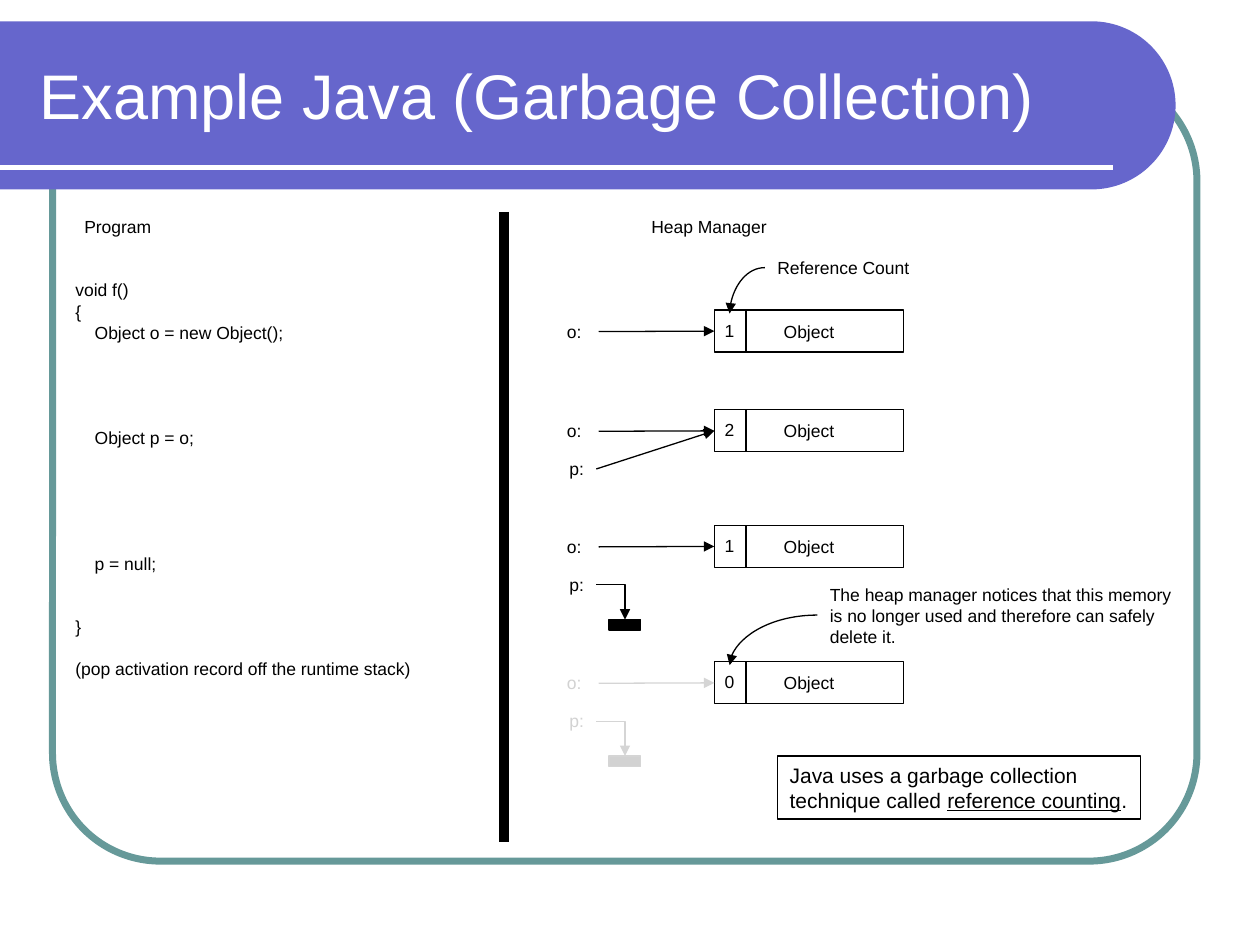
import math

import pptx
import pptx.dml.color
import pptx.enum.shapes
import pptx.enum.text
import pptx.oxml.ns
import pptx.util
from lxml import etree

Cm, Pt = pptx.util.Cm, pptx.util.Pt
RGBColor = pptx.dml.color.RGBColor
SHAPE = pptx.enum.shapes.MSO_SHAPE
CONNECTOR = pptx.enum.shapes.MSO_CONNECTOR
qn = pptx.oxml.ns.qn

BLACK = RGBColor(0x00, 0x00, 0x00)
WHITE = RGBColor(0xFF, 0xFF, 0xFF)
BANNER = RGBColor(0x66, 0x66, 0xCC)
FRAME = RGBColor(0x66, 0x99, 0x99)
FADED_TEXT = RGBColor(0xD2, 0xD2, 0xD2)
FADED_LINE = RGBColor(0xD5, 0xD5, 0xD5)

LINE_PITCH = 12   # points per line of 10 pt code
CODE_INDENT = 0.39
LABEL_HEIGHT = 0.69
LEFT, RIGHT = 1, 3

# text, indented, empty lines above
PROGRAM = [
    ("void f()", False, 0),
    ("{", False, 0),
    ("Object o = new Object();", True, 0),
    ("Object p = o;", True, 4),
    ("p = null;", True, 5),
    ("}", False, 2),
    ("(pop activation record off the runtime stack)", False, 1),
]

# top, reference count, what p refers to, faded references
HEAP_STATES = [
    (6.25, "1", None, False),
    (8.26, "2", "object", False),
    (10.59, "1", "null", False),
    (13.34, "0", "null", True),
]


def write(paragraph, text, size=10, color=BLACK, **extra):
    run = paragraph.add_run()
    run.text = text
    for key, value in {"name": "Arial", "size": Pt(size), **extra}.items():
        setattr(run.font, key, value)
    run.font.color.rgb = color


def add_label(slide, left, top, width, lines, height=LABEL_HEIGHT, color=BLACK):
    label = slide.shapes.add_textbox(Cm(left), Cm(top), Cm(width), Cm(height))
    frame = label.text_frame
    # The boxes fit their text tightly, so the right inset is left as slack.
    for key, value in {"word_wrap": False, "margin_right": 0}.items():
        setattr(frame, key, value)
    for number, line in enumerate(lines):
        paragraph = frame.add_paragraph() if number else frame.paragraphs[0]
        write(paragraph, line, color=color)
    return label


def style_outline(shape, fill, line, width=0.75):
    shape.shadow.inherit = False
    if fill is None:
        shape.fill.background()
    else:
        shape.fill.solid()
        shape.fill.fore_color.rgb = fill
    if line is None:
        shape.line.fill.background()
    else:
        shape.line.color.rgb = line
        shape.line.width = Pt(width)


def add_box(slide, left, top, width, height, fill=None, line=BLACK,
            kind=SHAPE.RECTANGLE, line_width=0.75):
    box = slide.shapes.add_shape(kind, Cm(left), Cm(top), Cm(width), Cm(height))
    style_outline(box, fill, line, line_width)
    return box


def add_line(slide, start, end, color=BLACK, width=0.75, arrow=False,
             preset=None, joins=None):
    """Draw a connector in cm; joins is ((shape, site), (shape, site))."""
    line = slide.shapes.add_connector(
        CONNECTOR.STRAIGHT, *(Cm(value) for value in (*start, *end)))
    line.line.color.rgb = color
    line.line.width = Pt(width)
    properties = line._element.spPr
    if arrow:
        etree.SubElement(properties.get_or_add_ln(), qn("a:tailEnd"), type="triangle")
    if preset:
        properties.find(qn("a:prstGeom")).set("prst", preset)
    etree.SubElement(properties, qn("a:effectLst"))
    if joins:
        line.begin_connect(*joins[0])
        line.end_connect(*joins[1])


def add_banner(slide, top, width, height):
    """Blue band from the slide's left edge with a half-round right end."""
    radius = height / 2
    center = width - radius
    angles = [math.radians(degrees) for degrees in range(-90, 91, 3)]
    arc = [(Cm(center + radius * math.cos(angle)),
            Cm(top + radius + radius * math.sin(angle))) for angle in angles]
    builder = slide.shapes.build_freeform(0, Cm(top))
    builder.add_line_segments(arc + [(0, Cm(top + height))], close=True)
    style_outline(builder.convert_to_shape(), BANNER, None)
    add_line(slide, (0, top + 2.95), (22.43, top + 2.95), WHITE, 3)


def add_title(slide, left, top, width, height):
    title = slide.shapes.title
    slide.shapes._spTree.append(title._element)
    place = {"left": left, "top": top, "width": width, "height": height}
    for key, value in place.items():
        setattr(title, key, Cm(value))
    title.text_frame.vertical_anchor = pptx.enum.text.MSO_ANCHOR.MIDDLE
    paragraph = title.text_frame.paragraphs[0]
    paragraph.alignment = pptx.enum.text.PP_ALIGN.LEFT
    write(paragraph, "Example Java (Garbage Collection)", 36, WHITE)


def add_program(slide, left, top, width, height):
    add_label(slide, left + 0.18, top, 1.85, ["Program"])
    code = slide.shapes.add_textbox(Cm(left), Cm(top + 1.27), Cm(width), Cm(height))
    frame = code.text_frame
    frame.word_wrap = True
    for number, (text, indented, gap) in enumerate(PROGRAM):
        paragraph = frame.add_paragraph() if number else frame.paragraphs[0]
        paragraph.space_before = Pt(gap * LINE_PITCH)
        if indented:
            paragraph._p.get_or_add_pPr().set("marL", str(Cm(CODE_INDENT)))
        write(paragraph, text)


def add_heap_state(slide, left, top, count, p_target, faded):
    """One snapshot: the variables on the left, the counted object on the right."""
    text_color, line_color = (FADED_TEXT, FADED_LINE) if faded else (BLACK, BLACK)
    heap_object = add_box(slide, left + 3.22, top, 3.81, 0.85)
    add_line(slide, (left + 3.86, top), (left + 3.86, top + 0.85))
    add_label(slide, left + 3.18, top + 0.07, 0.69, [count])
    add_label(slide, left + 4.37, top + 0.09, 1.52, ["Object"])

    variables = [add_label(slide, left, top + 0.09, 0.89, ["o:"], color=text_color)]
    if p_target:
        p_label = add_label(slide, left + 0.05, top + 0.85, 0.79, ["p:"],
                            color=text_color)
    if p_target == "object":
        variables.append(p_label)
    for variable in variables:
        add_line(slide, (left, top), (left, top), line_color, arrow=True,
                 joins=((variable, RIGHT), (heap_object, LEFT)))
    if p_target == "null":
        add_box(slide, left + 1.1, top + 1.9, 0.64, 0.21, text_color, line_color)
        add_line(slide, (left + 0.84, top + 1.2), (left + 1.42, top + 1.9),
                 line_color, arrow=True, preset="bentConnector2")


def add_callout(slide, left, top, width, height, lines, target):
    add_label(slide, left, top, width, lines, height)
    add_line(slide, (left, top + height / 2), target, arrow=True,
             preset="curvedConnector2")


def add_heap(slide, left, top):
    add_label(slide, left + 1.7, top, 2.82, ["Heap Manager"])
    for state in HEAP_STATES:
        add_heap_state(slide, left, *state)
    count_x = left + 3.53
    add_callout(slide, left + 4.24, top + 0.81, 3.15, LABEL_HEIGHT,
                ["Reference Count"], (count_x, HEAP_STATES[0][0] + 0.07))
    add_callout(slide, left + 5.3, top + 7.4, 7.37, 1.52,
                ["The heap manager notices that this memory",
                 "is no longer used and therefore can safely",
                 "delete it."], (count_x, HEAP_STATES[-1][0] + 0.07))


def add_conclusion(slide, left, top, width, height):
    frame = add_box(slide, left, top, width, height).text_frame
    frame.word_wrap = False
    first, second = frame.paragraphs[0], frame.add_paragraph()
    for paragraph in (first, second):
        paragraph.alignment = pptx.enum.text.PP_ALIGN.LEFT
    write(first, "Java uses a garbage collection", 12)
    write(second, "technique called ", 12)
    write(second, "reference counting", 12, underline=True)
    write(second, ".", 12)


def main():
    presentation = pptx.Presentation()
    presentation.slide_width, presentation.slide_height = Cm(25.4), Cm(19.05)
    slide = presentation.slides.add_slide(presentation.slide_layouts[5])
    frame = add_box(slide, 1.06, 1.48, 23.07, 15.88, line=FRAME,
                    kind=SHAPE.ROUNDED_RECTANGLE, line_width=4)
    frame.adjustments[0] = 0.137
    add_banner(slide, 0.43, 23.7, 3.39)
    add_title(slide, 0.55, 0.64, 22.28, 2.54)
    add_program(slide, 1.27, 4.24, 8.69, 9.17)
    add_line(slide, (10.16, 4.27), (10.16, 16.97), width=6)
    add_heap(slide, 11.18, 4.24)
    add_conclusion(slide, 15.67, 15.24, 7.32, 1.27)
    presentation.save("out.pptx")


if __name__ == "__main__":
    main()
